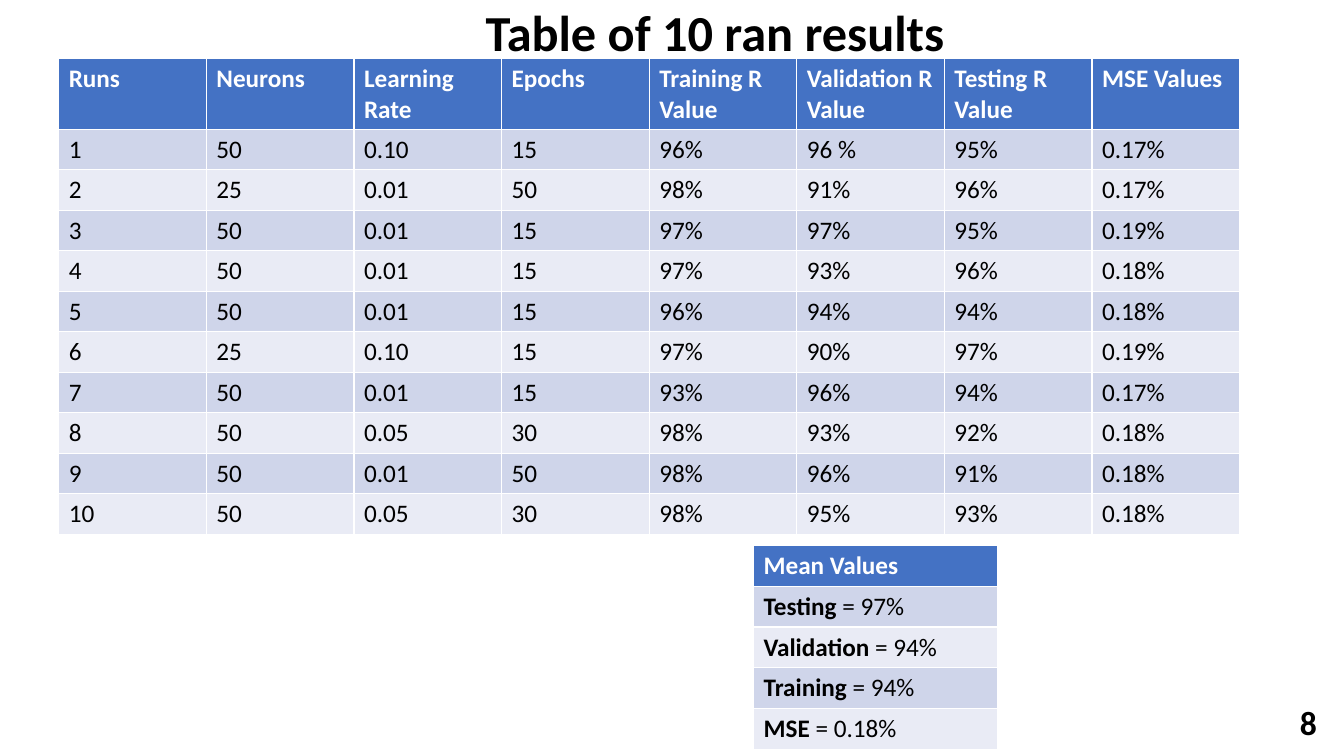
from pptx import Presentation
from pptx import util as u
from pptx.dml.color import RGBColor
from pptx.enum import text

deck = Presentation()
deck.slide_width, deck.slide_height = u.Cm(33.87), u.Cm(19.05)
slide = deck.slides.add_slide(deck.slide_layouts[6])


def color(code):
    return RGBColor.from_string(code)


def style(para, size, code, bold):
    font = para.font
    font.name, font.size, font.bold = "Calibri", u.Pt(size), bold
    font.color.rgb = color(code)


runs = [
    ["Runs", "Neurons", "Learning Rate", "Epochs", "Training R Value",
     "Validation R Value", "Testing R Value", "MSE Values"],
    ["1", "50", "0.10", "15", "96%", "96 %", "95%", "0.17%"],
    ["2", "25", "0.01", "50", "98%", "91%", "96%", "0.17%"],
    ["3", "50", "0.01", "15", "97%", "97%", "95%", "0.19%"],
    ["4", "50", "0.01", "15", "97%", "93%", "96%", "0.18%"],
    ["5", "50", "0.01", "15", "96%", "94%", "94%", "0.18%"],
    ["6", "25", "0.10", "15", "97%", "90%", "97%", "0.19%"],
    ["7", "50", "0.01", "15", "93%", "96%", "94%", "0.17%"],
    ["8", "50", "0.05", "30", "98%", "93%", "92%", "0.18%"],
    ["9", "50", "0.01", "50", "98%", "96%", "91%", "0.18%"],
    ["10", "50", "0.05", "30", "98%", "95%", "93%", "0.18%"],
]
means = [["Mean Values"], ["Testing = 97%"], ["Validation = 94%"],
         ["Training = 94%"], ["MSE = 0.18%"]]

labels = [
    ("Table of 10 ran results", 11.99, 0.28, 21.8, 1.02, 36, text.MSO_ANCHOR.MIDDLE),
    ("8", 32.51, 17.55, 1.35, 1.27, 24, text.MSO_ANCHOR.TOP),
]
for words, left, top, wide, high, size, anchor in labels:
    box = slide.shapes.add_textbox(u.Cm(left), u.Cm(top), u.Cm(wide), u.Cm(high))
    frame = box.text_frame
    frame.word_wrap = True
    frame.vertical_anchor = anchor
    frame.text = words
    style(frame.paragraphs[0], size, "000000", True)

tables = [
    (means, 18.99, 13.74, 6.15, 1.03, 1.03),
    (runs, 1.48, 1.48, 3.72, 1.75, 1.02),
]
for rows, left, top, wide, head, high in tables:
    count = len(rows[0])
    table = slide.shapes.add_table(
        len(rows), count, u.Cm(left), u.Cm(top), u.Cm(wide * count),
        u.Cm(head + high * (len(rows) - 1))).table
    for col in table.columns:
        col.width = u.Cm(wide)
    for i, row in enumerate(rows):
        table.rows[i].height = u.Cm(high if i else head)
        fill = ("E9EBF5", "CFD5EA")[i % 2] if i else "4472C4"
        for j, words in enumerate(row):
            cell = table.cell(i, j)
            cell.fill.solid()
            cell.fill.fore_color.rgb = color(fill)
            para = cell.text_frame.paragraphs[0]
            name, sign, value = words.partition(" = ")
            part = para.add_run()
            part.text = name
            if sign:
                part.font.bold = True
                para.add_run().text = sign + value
            style(para, 18, "000000" if i else "FFFFFF", i == 0)

deck.save("out.pptx")
